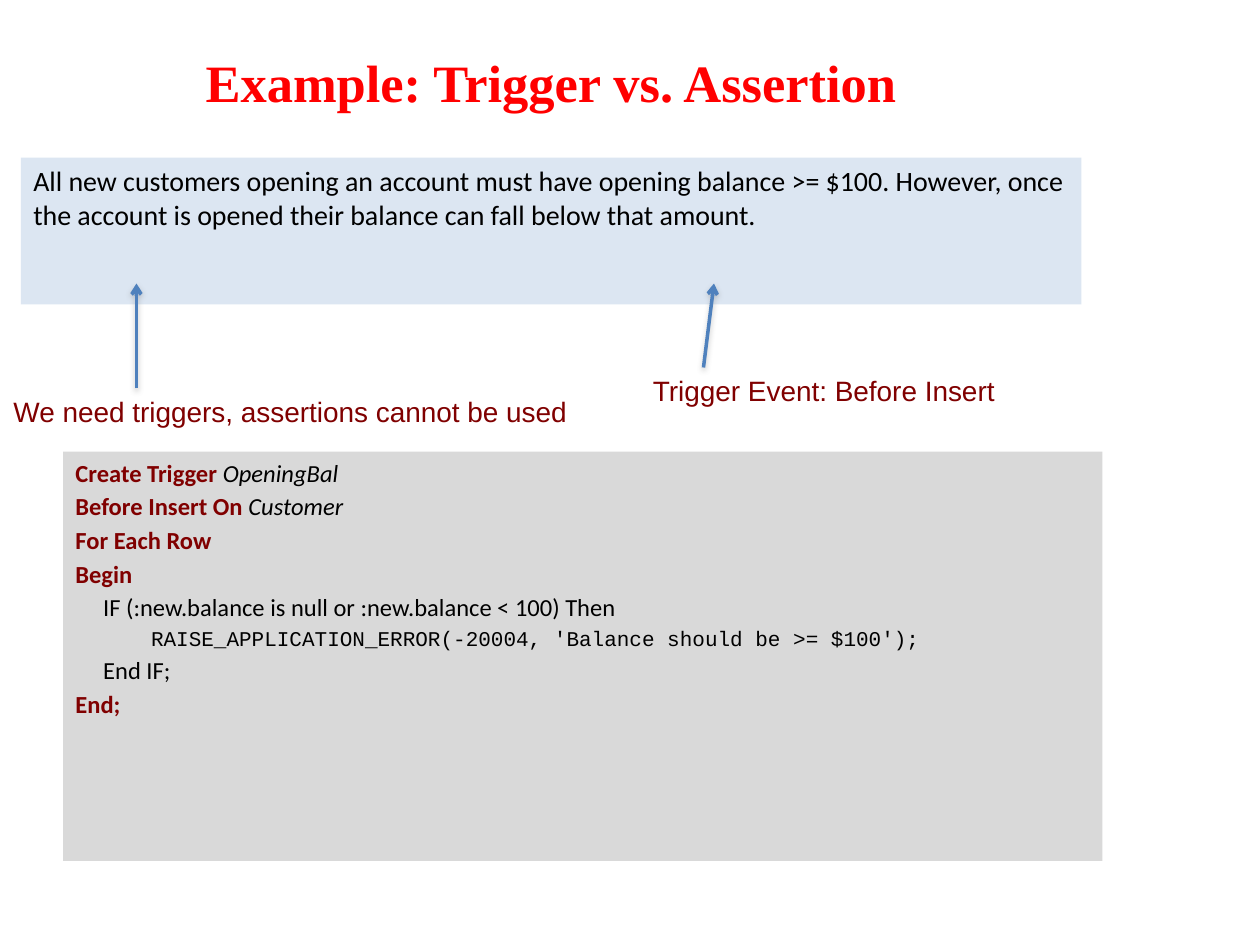
from lxml.etree import SubElement
from pptx import Presentation
from pptx.dml.color import RGBColor
from pptx.enum.shapes import MSO_CONNECTOR, MSO_SHAPE
from pptx.enum.text import MSO_ANCHOR, MSO_AUTO_SIZE, PP_ALIGN
from pptx.oxml import parse_xml
from pptx.oxml.ns import nsdecls, qn
from pptx.util import Inches, Pt

RED = RGBColor(0xFF, 0x00, 0x00)
MAROON = RGBColor(0x80, 0x00, 0x00)
BLACK = RGBColor(0x00, 0x00, 0x00)
BLUE = RGBColor(0x4F, 0x81, 0xBD)
PALE_BLUE = RGBColor(0xDC, 0xE6, 0xF2)
GRAY = RGBColor(0xD9, 0xD9, 0xD9)

GRID = 12  # grid cells per inch: 120 columns by 90 rows

RULE = ("All new customers opening an account must have opening balance >= $100. "
        "However, once the account is opened their balance can fall below that amount.")

# Each line of code: left indent in inches, then (kind, text) spans
CODE = [
    (0, [("keyword", "Create Trigger "), ("name", "OpeningBal")]),
    (0, [("keyword", "Before Insert On "), ("name", "Customer")]),
    (0, [("keyword", "For Each Row")]),
    (0, [("keyword", "Begin")]),
    (0.22, [("plain", "IF (:new.balance is null or :new.balance < 100) Then")]),
    (0.6, [("call", "RAISE_APPLICATION_ERROR(-20004, 'Balance should be >= $100');")]),
    (0.22, [("plain", "End IF;")]),
    (0, [("keyword", "End;")]),
]
SPAN_STYLES = {
    "keyword": dict(size=14, font="Calibri", color=MAROON, bold=True),
    "name": dict(size=14, font="Calibri", color=BLACK, italic=True),
    "plain": dict(size=14, font="Calibri", color=BLACK),
    "call": dict(size=12, font="Courier New", color=BLACK),
}


def cells(*counts):
    """Turn grid columns or rows into lengths."""
    return [Inches(count / GRID) for count in counts]


def add_span(para, text, size, font, color, bold=False, italic=False):
    span = para.add_run()
    span.text = text
    span.font.size = Pt(size)
    span.font.name = font
    span.font.color.rgb = color
    span.font.bold = bold
    span.font.italic = italic


def set_title(page, text):
    title = page.shapes.title
    title.left, title.top, title.width, title.height = cells(3, 1.6, 99, 12.4)
    title.text_frame.vertical_anchor = MSO_ANCHOR.MIDDLE
    para = title.text_frame.paragraphs[0]
    para.alignment = PP_ALIGN.CENTER
    add_span(para, text, 30, "Times New Roman", RED, bold=True)


def add_panel(page, place, color):
    """Add a plain filled rectangle and return its text frame."""
    box = page.shapes.add_shape(MSO_SHAPE.RECTANGLE, *cells(*place))
    box.shadow.inherit = False
    box.fill.solid()
    box.fill.fore_color.rgb = color
    box.line.fill.background()
    box.text_frame.word_wrap = True
    box.text_frame.vertical_anchor = MSO_ANCHOR.TOP
    return box.text_frame


def format_line(para, indent=0):
    para.alignment = PP_ALIGN.LEFT
    para.space_before = Pt(2.4)
    if indent:
        properties = para._p.get_or_add_pPr()
        properties.set("marL", str(Inches(indent)))
        properties.set("indent", "0")


def add_rule(page):
    para = add_panel(page, (2, 15, 101, 14), PALE_BLUE).paragraphs[0]
    format_line(para)
    add_span(para, RULE, 16, "Calibri", BLACK)


def add_code(page):
    frame = add_panel(page, (6, 43, 99, 39), GRAY)
    for number, (indent, spans) in enumerate(CODE):
        para = frame.add_paragraph() if number else frame.paragraphs[0]
        format_line(para, indent)
        for kind, text in spans:
            add_span(para, text, **SPAN_STYLES[kind])


def add_arrow(group, start, end):
    arrow = group.shapes.add_connector(
        MSO_CONNECTOR.STRAIGHT, *cells(*start, *end))
    arrow.line.color.rgb = BLUE
    arrow.line.width = Pt(2)
    SubElement(arrow.line._get_or_add_ln(), qn("a:tailEnd"), type="arrow")
    arrow._element.spPr.append(parse_xml(
        f'<a:effectLst {nsdecls("a")}>'
        '<a:outerShdw blurRad="40000" dist="20000" dir="5400000" rotWithShape="0">'
        '<a:srgbClr val="808080"><a:alpha val="38000"/></a:srgbClr>'
        '</a:outerShdw></a:effectLst>'))


def add_callout(page, text, place, start, end):
    """Group an arrow with the label that explains it."""
    group = page.shapes.add_group_shape()
    add_arrow(group, start, end)
    label = group.shapes.add_textbox(*cells(*place))
    label.text_frame.word_wrap = False
    label.text_frame.auto_size = MSO_AUTO_SIZE.SHAPE_TO_FIT_TEXT
    add_span(label.text_frame.paragraphs[0], text, 16, "Arial", MAROON)


def main():
    deck = Presentation()
    deck.slide_width, deck.slide_height = Inches(10), Inches(7.5)
    page = deck.slides.add_slide(deck.slide_layouts[5])
    set_title(page, "Example: Trigger vs. Assertion")
    add_rule(page)
    add_callout(page, "We need triggers, assertions cannot be used",
                (0.1, 37, 55.8, 4.4), (13, 37), (13, 27))
    add_callout(page, "Trigger Event: Before Insert",
                (61, 35, 35.4, 4.4), (67, 35), (68, 27))
    add_code(page)
    deck.save("out.pptx")


if __name__ == "__main__":
    main()
